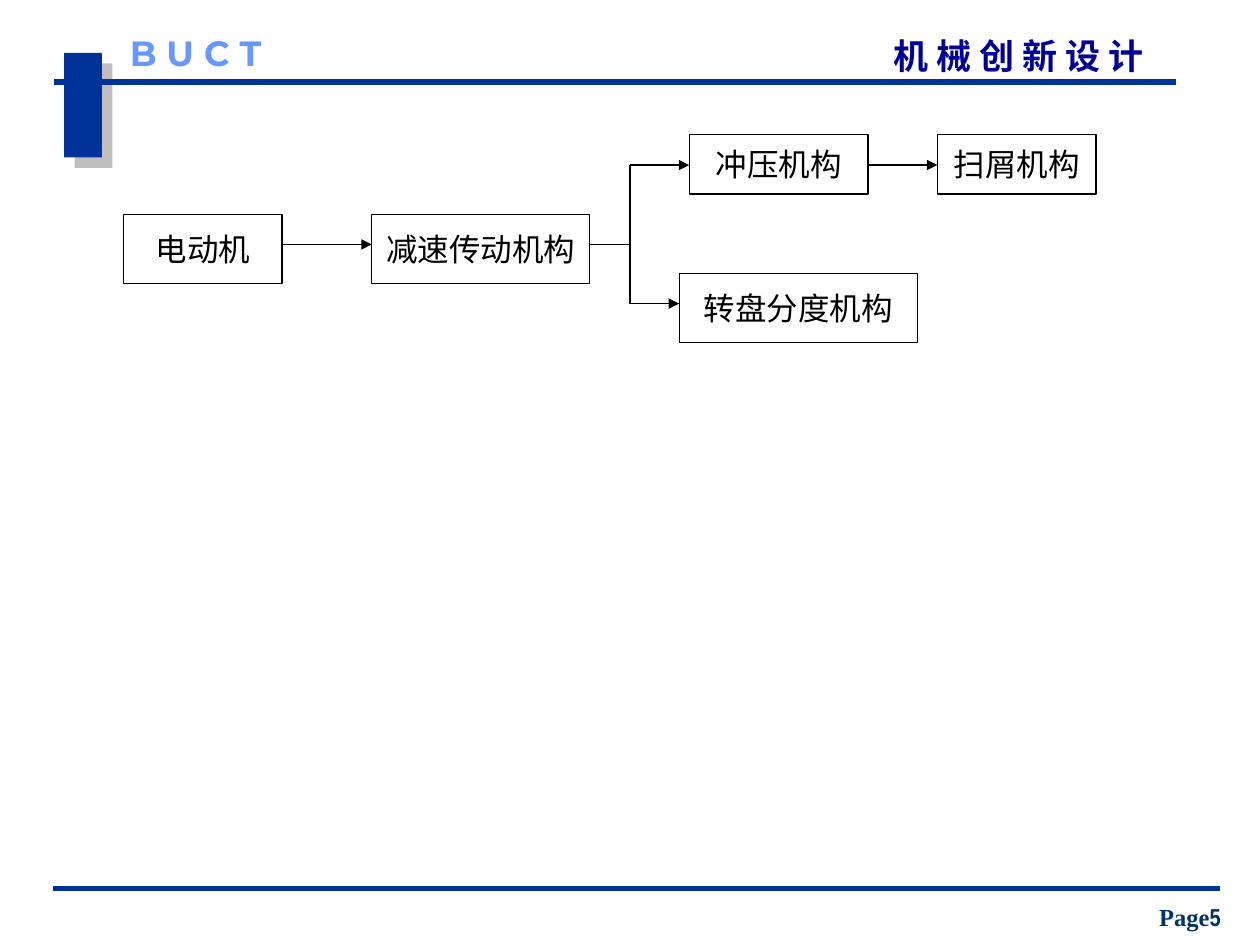
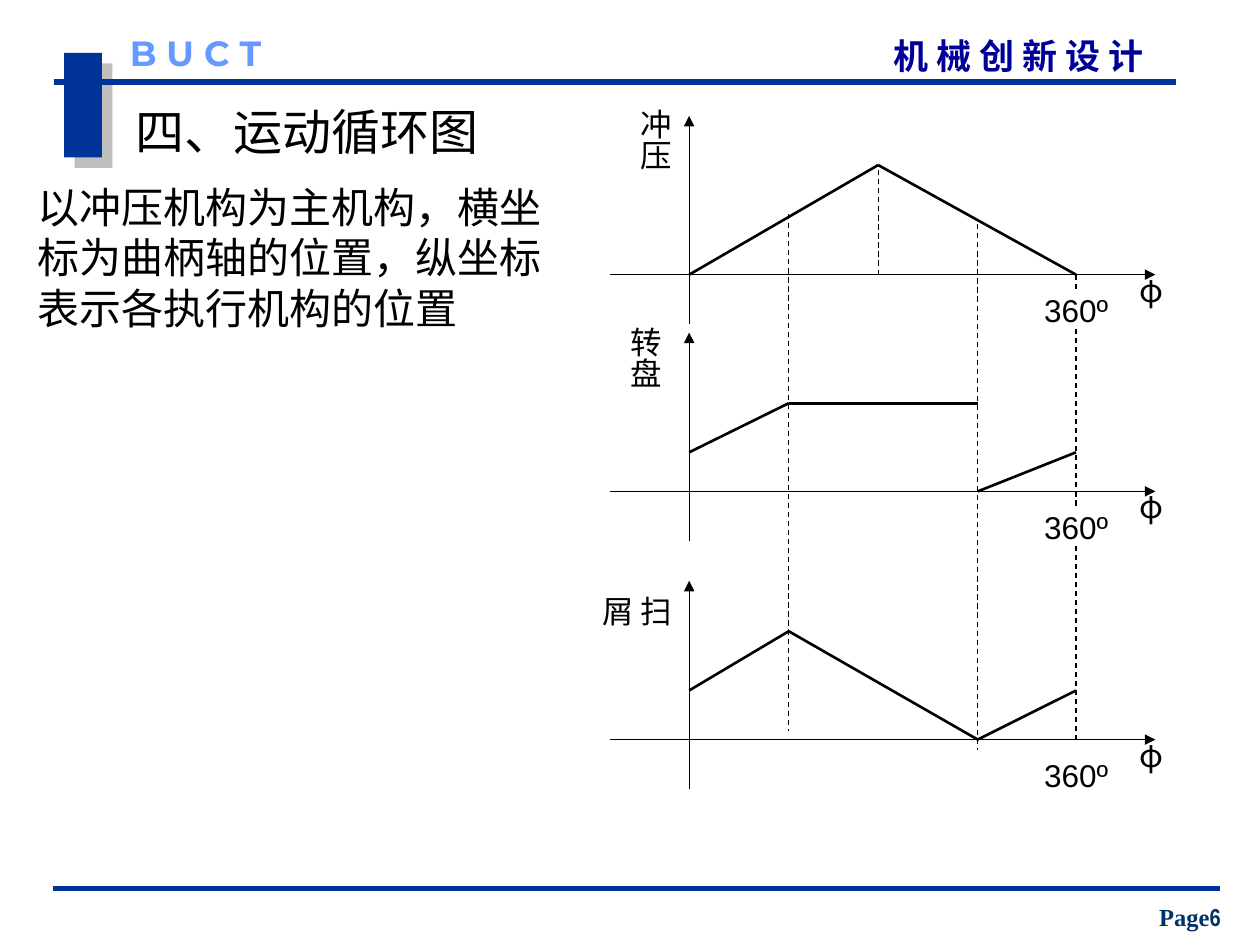
from dataclasses import dataclass
from itertools import pairwise
from typing import Optional

import lxml.etree
import pptx
import pptx.dml.color
import pptx.enum.dml
import pptx.enum.shapes
import pptx.enum.text
import pptx.oxml
import pptx.oxml.ns
import pptx.slide
import pptx.text.text
import pptx.util
from pptx.dml.color import RGBColor
from pptx.enum.text import MSO_ANCHOR, MSO_AUTO_SIZE, PP_ALIGN
from pptx.util import Inches

BLACK = RGBColor(0x00, 0x00, 0x00)
WHITE = RGBColor(0xFF, 0xFF, 0xFF)
BAND_BLUE = RGBColor(0x00, 0x33, 0x99)
COURSE_BLUE = RGBColor(0x00, 0x00, 0x99)
SCHOOL_BLUE = RGBColor(0x66, 0x99, 0xFF)
PAGE_BLUE = RGBColor(0x00, 0x33, 0x66)
CHINESE_FONT = "Noto Sans CJK SC"
NARROW_INSETS = (0.05, 0.1, 0.05, 0.1)
NORMAL_INSETS = (0.1, 0.05, 0.1, 0.05)
NO_INSETS = (0, 0, 0, 0)

Point = tuple[float, float]


@dataclass(frozen=True)
class Box:
    left: float
    top: float
    width: float
    height: float

    def lengths(self) -> list[pptx.util.Length]:
        return [Inches(value) for value in (self.left, self.top, self.width, self.height)]


@dataclass(frozen=True)
class Mechanism:
    name: str
    box: Box


@dataclass(frozen=True)
class Link:
    start: Point
    end: Point
    arrow: bool = True


@dataclass(frozen=True)
class CycleGraph:
    name: str
    label_box: Box
    baseline: float
    curves: tuple[tuple[Point, ...], ...]


ORIGIN, PRESS_IN, PRESS_LOW, PRESS_OUT, FULL_TURN = 5.47, 6.26, 6.97, 7.76, 8.54
MIDDLE_ROW, UPPER_ROW, LOWER_ROW, BRANCH = 1.94, 1.31, 2.41, 5.0

MECHANISMS = (
    Mechanism("电动机", Box(0.98, 1.7, 1.26, 0.55)),
    Mechanism("减速传动机构", Box(2.95, 1.7, 1.73, 0.55)),
    Mechanism("冲压机构", Box(5.47, 1.07, 1.42, 0.47)),
    Mechanism("扫屑机构", Box(7.44, 1.07, 1.26, 0.47)),
    Mechanism("转盘分度机构", Box(5.39, 2.17, 1.89, 0.55)),
)
LINKS = (
    Link((2.24, MIDDLE_ROW), (2.95, MIDDLE_ROW)),
    Link((4.68, MIDDLE_ROW), (BRANCH, MIDDLE_ROW), arrow=False),
    Link((BRANCH, UPPER_ROW), (BRANCH, LOWER_ROW), arrow=False),
    Link((BRANCH, UPPER_ROW), (5.47, UPPER_ROW)),
    Link((BRANCH, LOWER_ROW), (5.39, LOWER_ROW)),
    Link((6.89, UPPER_ROW), (7.44, UPPER_ROW)),
)
GRAPHS = (
    CycleGraph("冲压", Box(4.9, 0.76, 0.5, 0.71), 2.18,
               (((ORIGIN, 0), (PRESS_LOW, 0.87), (FULL_TURN, 0)),)),
    CycleGraph("转盘", Box(4.82, 2.49, 0.5, 0.71), 3.9,
               (((ORIGIN, 0.31), (PRESS_IN, 0.7), (PRESS_OUT, 0.7)),
                ((PRESS_OUT, 0), (FULL_TURN, 0.31)))),
    CycleGraph("扫屑", Box(4.9, 4.63, 0.5, 0.63), 5.87,
               (((ORIGIN, 0.39), (PRESS_IN, 0.86), (PRESS_OUT, 0), (FULL_TURN, 0.39)),)),
)
PHASE_GUIDES = (
    Link((PRESS_LOW, 2.18), (PRESS_LOW, 1.31)),
    Link((PRESS_OUT, 1.78), (PRESS_OUT, 5.95)),
    Link((PRESS_IN, 1.7), (PRESS_IN, 5.8)),
    Link((FULL_TURN, 2.18), (FULL_TURN, 5.88)),
)


def write_text(frame: pptx.text.text.TextFrame, text: str, *, size: float = 18,
               font: str = "Arial", color: RGBColor = BLACK, bold: bool = False,
               align: PP_ALIGN = PP_ALIGN.LEFT, line_height: Optional[float] = None) -> None:
    paragraph = frame.paragraphs[0]
    paragraph.alignment = align
    if line_height:
        paragraph.line_spacing = pptx.util.Pt(line_height)
    run = paragraph.add_run()
    run.text = text
    run.font.size = pptx.util.Pt(size)
    run.font.bold = bold
    run.font.color.rgb = color
    run.font.name = font
    east_asian = lxml.etree.SubElement(run.font._element, pptx.oxml.ns.qn("a:ea"))
    east_asian.set("typeface", CHINESE_FONT)


def set_insets(frame: pptx.text.text.TextFrame, insets: tuple[float, ...]) -> None:
    (frame.margin_left, frame.margin_top,
     frame.margin_right, frame.margin_bottom) = (Inches(inset) for inset in insets)


def add_text_box(slide: pptx.slide.Slide, box: Box, insets: tuple[float, ...] = NORMAL_INSETS,
                 grow: bool = True, vertical: bool = False,
                 fill: Optional[RGBColor] = None) -> pptx.text.text.TextFrame:
    shape = slide.shapes.add_textbox(*box.lengths())
    if fill is not None:
        shape.fill.solid()
        shape.fill.fore_color.rgb = fill
    frame = shape.text_frame
    frame.word_wrap = True
    frame.auto_size = MSO_AUTO_SIZE.SHAPE_TO_FIT_TEXT if grow else MSO_AUTO_SIZE.NONE
    set_insets(frame, insets)
    if vertical:
        frame._txBody.bodyPr.set("vert", "eaVert")
    return frame


def add_line(slide: pptx.slide.Slide, start: Point, end: Point, *, color: RGBColor = BLACK,
             width: float = 0.75, arrow: bool = False, dashed: bool = False) -> None:
    connector = slide.shapes.add_connector(
        pptx.enum.shapes.MSO_CONNECTOR.STRAIGHT,
        *(Inches(value) for value in (*start, *end)))
    connector.line.color.rgb = color
    connector.line.width = pptx.util.Pt(width)
    if dashed:
        connector.line.dash_style = pptx.enum.dml.MSO_LINE.DASH
    properties = connector._element.spPr
    if arrow:
        tail = lxml.etree.SubElement(properties.ln, pptx.oxml.ns.qn("a:tailEnd"))
        tail.set("type", "triangle")
    lxml.etree.SubElement(properties, pptx.oxml.ns.qn("a:effectLst"))


def add_accent_bar(slide: pptx.slide.Slide) -> None:
    shape = slide.shapes.add_shape(pptx.enum.shapes.MSO_SHAPE.RECTANGLE,
                                   *Box(0.51, 0.42, 0.3, 0.83).lengths())
    shape.fill.solid()
    shape.fill.fore_color.rgb = BAND_BLUE
    shape.line.fill.background()
    shape.shadow.inherit = False
    effects = shape._element.spPr.find(pptx.oxml.ns.qn("a:effectLst"))
    effects.append(pptx.oxml.parse_xml(
        f'<a:outerShdw {pptx.oxml.ns.nsdecls("a")} dist="107950" dir="2700000" algn="ctr" '
        'rotWithShape="0"><a:srgbClr val="808080"><a:alpha val="50000"/></a:srgbClr>'
        '</a:outerShdw>'))


def add_framed_slide(presentation, page: int) -> pptx.slide.Slide:
    slide = presentation.slides.add_slide(presentation.slide_layouts[6])
    add_accent_bar(slide)
    add_line(slide, (0.43, 0.65), (9.33, 0.65), color=BAND_BLUE, width=3)
    add_line(slide, (0.42, 7.05), (9.68, 7.05), color=BAND_BLUE, width=3)
    write_text(add_text_box(slide, Box(7.09, 0.27, 2.45, 0.33), NO_INSETS), "机 械 创 新 设 计",
               size=20, font=CHINESE_FONT, color=COURSE_BLUE, bold=True)
    write_text(add_text_box(slide, Box(1.03, 0.25, 1.42, 0.33), NO_INSETS), "B U C T",
               size=20, font="Montserrat", color=SCHOOL_BLUE, bold=True)
    footer = add_text_box(slide, Box(8.97, 7.11, 0.95, 0.33), grow=False)
    footer.vertical_anchor = MSO_ANCHOR.BOTTOM
    for text, font in (("Page", "Times New Roman"), (str(page), "Arial Narrow")):
        write_text(footer, text, size=14, font=font, color=PAGE_BLUE, bold=True,
                   align=PP_ALIGN.CENTER)
    return slide


def add_mechanism(slide: pptx.slide.Slide, mechanism: Mechanism) -> None:
    shape = slide.shapes.add_shape(pptx.enum.shapes.MSO_SHAPE.RECTANGLE,
                                   *mechanism.box.lengths())
    shape.fill.background()
    shape.line.color.rgb = BLACK
    shape.line.width = pptx.util.Pt(0.75)
    shape.shadow.inherit = False
    frame = shape.text_frame
    frame.word_wrap = False
    frame.vertical_anchor = MSO_ANCHOR.MIDDLE
    set_insets(frame, NORMAL_INSETS)
    write_text(frame, mechanism.name, align=PP_ALIGN.CENTER)


def add_cycle_graph(slide: pptx.slide.Slide, graph: CycleGraph) -> None:
    base = graph.baseline
    add_line(slide, (4.84, base), (9.17, base), arrow=True)
    add_line(slide, (ORIGIN, base + 0.39), (ORIGIN, base - 1.26), arrow=True)
    write_text(add_text_box(slide, Box(8.94, base - 0.08, 0.39, 0.4)), "φ",
               font=CHINESE_FONT, align=PP_ALIGN.CENTER)
    turn_label = add_text_box(slide, Box(FULL_TURN - 0.3, base + 0.13, 0.6, 0.29), NO_INSETS,
                              fill=WHITE)
    write_text(turn_label, "360º", align=PP_ALIGN.CENTER)
    write_text(add_text_box(slide, graph.label_box, NARROW_INSETS, vertical=True), graph.name,
               align=PP_ALIGN.CENTER, line_height=21.6)
    for curve in graph.curves:
        points = [(x, base - rise) for x, rise in curve]
        for start, end in pairwise(points):
            add_line(slide, start, end, width=1.5)


def build_transmission_slide(presentation) -> None:
    slide = add_framed_slide(presentation, 5)
    for mechanism in MECHANISMS:
        add_mechanism(slide, mechanism)
    for link in LINKS:
        add_line(slide, link.start, link.end, arrow=link.arrow)


def build_cycle_slide(presentation) -> None:
    slide = add_framed_slide(presentation, 6)
    write_text(add_text_box(slide, Box(0.98, 0.76, 5.98, 0.57)), "四、运动循环图",
               size=28, line_height=33.6)
    write_text(add_text_box(slide, Box(0.2, 1.39, 4.33, 1.3)),
               "以冲压机构为主机构，横坐标为曲柄轴的位置，纵坐标表示各执行机构的位置",
               size=24, line_height=28.8)
    for guide in PHASE_GUIDES:
        add_line(slide, guide.start, guide.end, dashed=True)
    for graph in GRAPHS:
        add_cycle_graph(slide, graph)


def main() -> None:
    presentation = pptx.Presentation()
    presentation.slide_width = Inches(10)
    presentation.slide_height = Inches(7.5)
    build_transmission_slide(presentation)
    build_cycle_slide(presentation)
    presentation.save("out.pptx")


if __name__ == "__main__":
    main()
